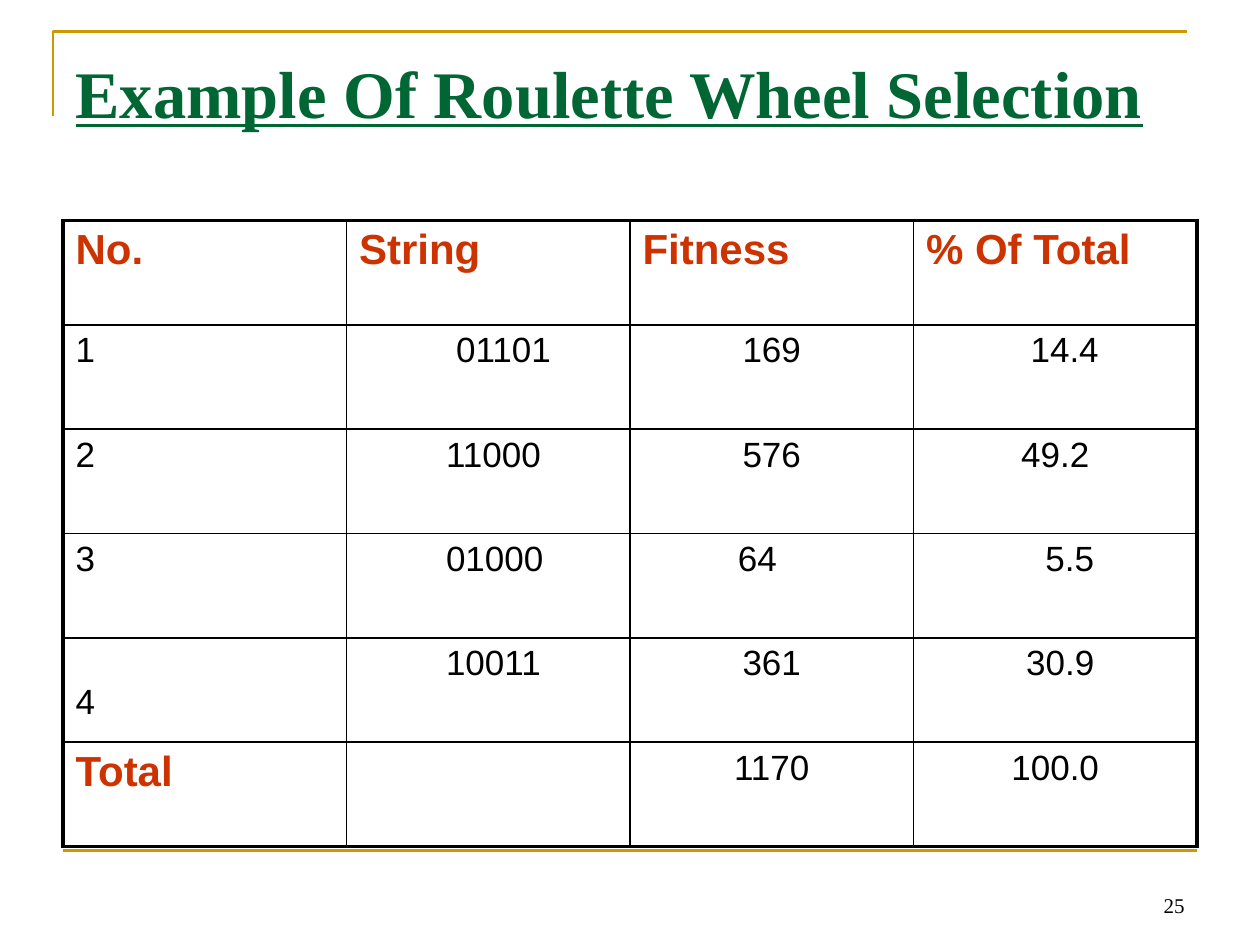
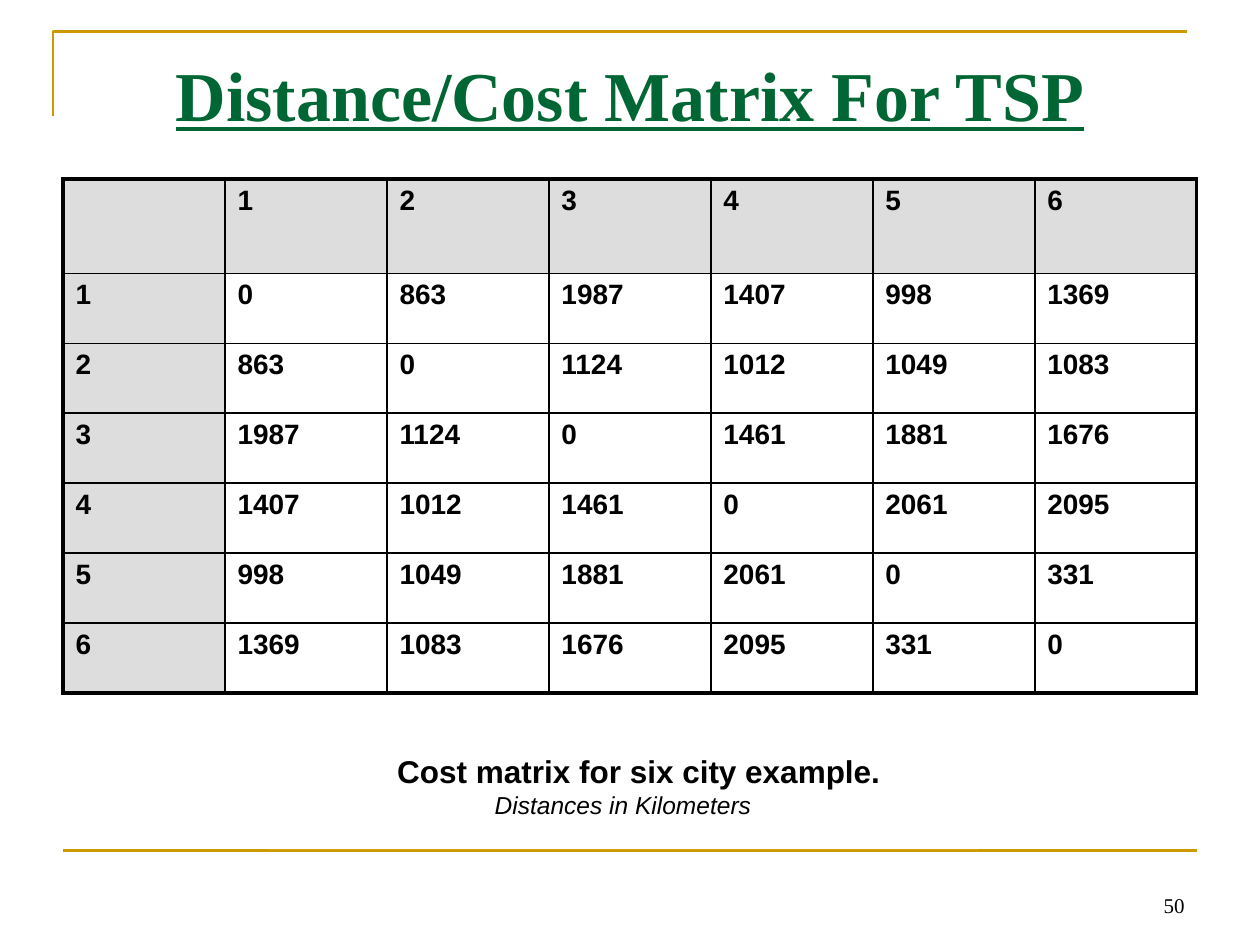
import lxml.etree
import pptx
import pptx.dml.color
import pptx.enum.shapes
import pptx.enum.text
import pptx.oxml.ns
import pptx.util

Inches, Pt = pptx.util.Inches, pptx.util.Pt
RGBColor = pptx.dml.color.RGBColor
PP_ALIGN = pptx.enum.text.PP_ALIGN
TOP = pptx.enum.text.MSO_ANCHOR.TOP
qn = pptx.oxml.ns.qn

GOLD = RGBColor(0xCC, 0x99, 0x00)
GREEN = RGBColor(0x00, 0x66, 0x33)
RED = RGBColor(0xCC, 0x33, 0x00)
BLACK = RGBColor(0x00, 0x00, 0x00)
WHITE = RGBColor(0xFF, 0xFF, 0xFF)
GREY = RGBColor(0xDD, 0xDD, 0xDD)
SERIF, SANS = "Times New Roman", "Arial"

deck = pptx.Presentation()
deck.slide_width, deck.slide_height = Inches(10), Inches(7.5)
W, H = deck.slide_width, deck.slide_height
MARGIN = W // 20
BODY = W - 2 * MARGIN
title_only = deck.slide_layouts[5]


def add_titled_slide(title_text, size, align, page):
    """Add a slide with its heading and page number."""
    slide = deck.slides.add_slide(title_only)
    heading = slide.shapes.title
    heading.left, heading.top = MARGIN, int(H * 0.04)
    heading.width, heading.height = BODY, H // 6
    page_number = slide.shapes.add_textbox(
        W - MARGIN - Inches(2.33), Inches(6.83), Inches(2.33), Inches(0.5))
    heading.text_frame.margin_top = Inches(0.11)
    for box, text, points, side, color, anchor in (
            (heading, title_text, size, align, GREEN, TOP),
            (page_number, page, 12, PP_ALIGN.RIGHT, BLACK,
             pptx.enum.text.MSO_ANCHOR.BOTTOM)):
        frame = box.text_frame
        frame.text = text
        frame.word_wrap = True
        frame.auto_size = pptx.enum.text.MSO_AUTO_SIZE.NONE
        frame.vertical_anchor = anchor
        frame.paragraphs[0].alignment = side
        font = frame.paragraphs[0].runs[0].font
        font.name, font.size, font.color.rgb = SERIF, Pt(points), color
    title_font = heading.text_frame.paragraphs[0].runs[0].font
    title_font.bold = title_font.underline = True
    return slide


def add_ruled_table(slide, rows, top, height, points):
    """Add a table with thin inner rules and a thick outline."""
    last_row, last_col = len(rows) - 1, len(rows[0]) - 1
    table = slide.shapes.add_table(
        len(rows), len(rows[0]), MARGIN, top, BODY, height).table
    table.first_row = table.horz_banding = False
    for r, values in enumerate(rows):
        for c, value in enumerate(values):
            cell = table.cell(r, c)
            edges = (("L", c == 0), ("R", c == last_col),
                     ("T", r == 0), ("B", r == last_row))
            for side, outer in edges:
                rule = lxml.etree.SubElement(
                    cell._tc.get_or_add_tcPr(), qn("a:ln" + side),
                    w=str(Pt(2.25 if outer else 1)))
                paint = lxml.etree.SubElement(rule, qn("a:solidFill"))
                lxml.etree.SubElement(paint, qn("a:srgbClr"), val=str(BLACK))
            cell.fill.background()
            if value:
                cell.text = value
                font = cell.text_frame.paragraphs[0].runs[0].font
                font.name, font.size, font.color.rgb = SANS, Pt(points), BLACK
    return table


# Roulette wheel slide
roulette = add_titled_slide(
    "Example Of Roulette Wheel Selection", 38, PP_ALIGN.LEFT, "25")

# Gold frame shared through the layout
outline = roulette.shapes.build_freeform(Inches(0.42), Inches(0.92))
outline.add_line_segments(
    [(Inches(0.42), Inches(0.25)), (Inches(9.42), Inches(0.25))], close=False)
corner = outline.convert_to_shape()
corner.shadow.inherit = False
corner.fill.background()
footer_rule = roulette.shapes.add_connector(
    pptx.enum.shapes.MSO_CONNECTOR.STRAIGHT,
    MARGIN, int(H * 0.9), W - MARGIN, int(H * 0.9))
for gold_line in (corner, footer_rule):
    gold_line.line.color.rgb, gold_line.line.width = GOLD, Pt(1.5)
    title_only.shapes.element.append(gold_line.element)
lxml.etree.SubElement(footer_rule.element.spPr, qn("a:effectLst"))

# Selection table
selection_rows = [
    ["No.", "String", "Fitness", "% Of Total"],
    ["1", "01101", "169", "14.4"],
    ["2", "11000", "576", "49.2"],
    ["3", "01000", "64", "5.5"],
    ["4", "10011", "361", "30.9"],
    ["Total", "", "1170", "100.0"],
]
selection = add_ruled_table(
    roulette, selection_rows, Inches(1.75), Inches(4.97), 20)
for r, values in enumerate(selection_rows):
    for c, value in enumerate(values):
        cell = selection.cell(r, c)
        paragraph = cell.text_frame.paragraphs[0]
        if r == 0 or value == "Total":
            font = paragraph.runs[0].font
            font.size, font.bold, font.color.rgb = Pt(24), True, RED
        elif c == 1:
            cell.margin_left = Inches(0.87 if r == 1 else 0.79)
        elif c > 1:
            paragraph.alignment = PP_ALIGN.CENTER

# Values set off from the middle of their cells
for r, extra in ((1, 0.15), (3, 0.23), (4, 0.08)):
    selection.cell(r, 3).margin_left = Inches(0.1 + extra)
selection.cell(3, 2).margin_right = Inches(0.33)
selection.cell(4, 0).margin_top = Inches(0.36)

# Distance matrix slide
matrix = add_titled_slide(
    "Distance/Cost Matrix For TSP", 40, PP_ALIGN.CENTER, "50")

# Caption
caption = matrix.shapes.add_shape(
    pptx.enum.shapes.MSO_SHAPE.RECTANGLE,
    Inches(2.13), Inches(5.92), Inches(5.63), Inches(0.82))
caption.shadow.inherit = False
caption.fill.solid()
caption.fill.fore_color.rgb = WHITE
caption.line.fill.background()
caption.text_frame.text = (
    "Cost matrix for six city example.\nDistances in Kilometers")
caption.text_frame.word_wrap = True
caption.text_frame.vertical_anchor = TOP
headline, unit_note = caption.text_frame.paragraphs
for paragraph, points in ((headline, 18), (unit_note, 14)):
    paragraph.alignment = PP_ALIGN.CENTER
    font = paragraph.runs[0].font
    font.name, font.size, font.color.rgb = SANS, Pt(points), BLACK
headline.runs[0].font.bold = True
unit_note.runs[0].font.italic = True
headline._p.get_or_add_pPr().set("marL", str(Inches(0.25)))

# Distance table: symmetric, so only the upper half is listed
upper_half = [
    [0, 863, 1987, 1407, 998, 1369],
    [0, 1124, 1012, 1049, 1083],
    [0, 1461, 1881, 1676],
    [0, 2061, 2095],
    [0, 331],
    [0],
]
cities = range(len(upper_half))
distance_rows = [[""] + [str(city + 1) for city in cities]]
for a in cities:
    distance_rows.append([str(a + 1)] + [
        str(upper_half[min(a, b)][abs(a - b)]) for b in cities])
distances = add_ruled_table(
    matrix, distance_rows, Inches(1.42), Inches(4.08), 16)
for r, row in enumerate(distances.rows):
    row.height = Inches(0.75) if r == 0 else Inches(3.33) // len(cities)
    for c, cell in enumerate(row.cells):
        if r == 0 or c == 0:
            cell.fill.solid()
            cell.fill.fore_color.rgb = GREY
        for run in cell.text_frame.paragraphs[0].runs:
            run.font.bold = True

deck.save("out.pptx")
